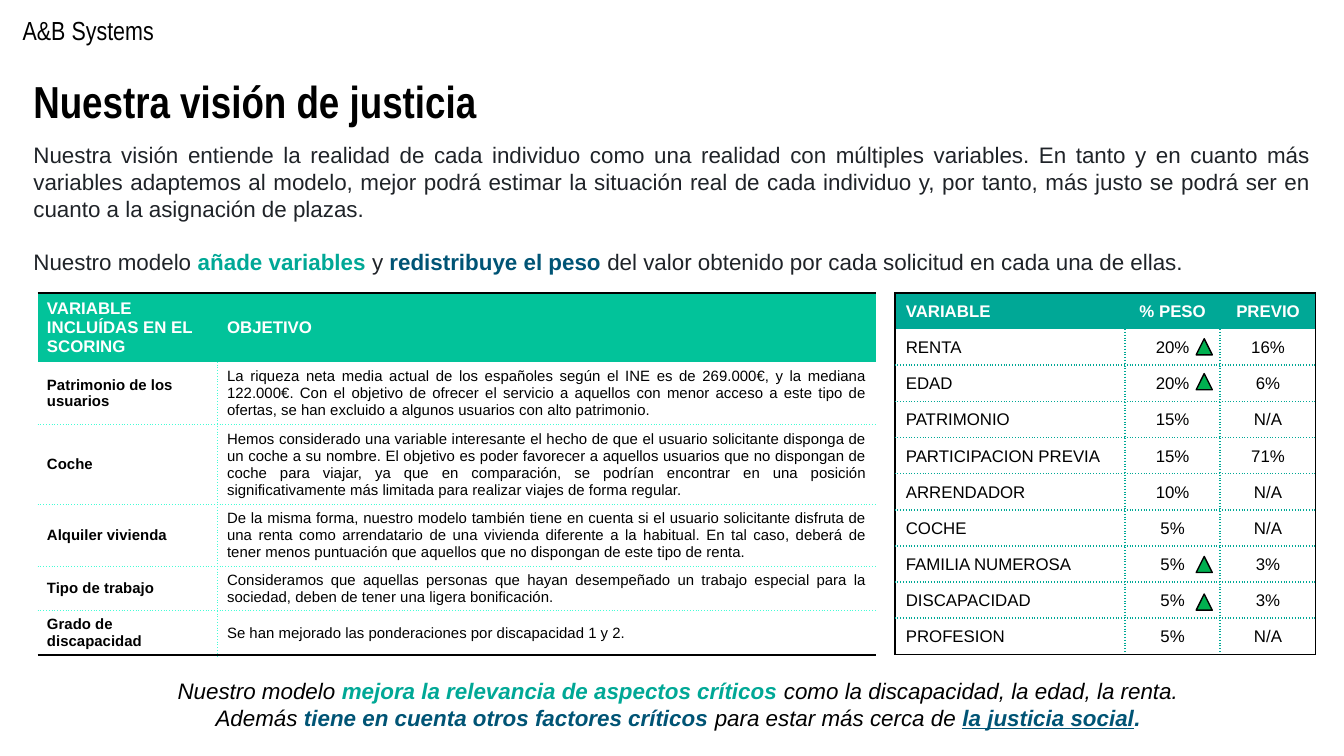
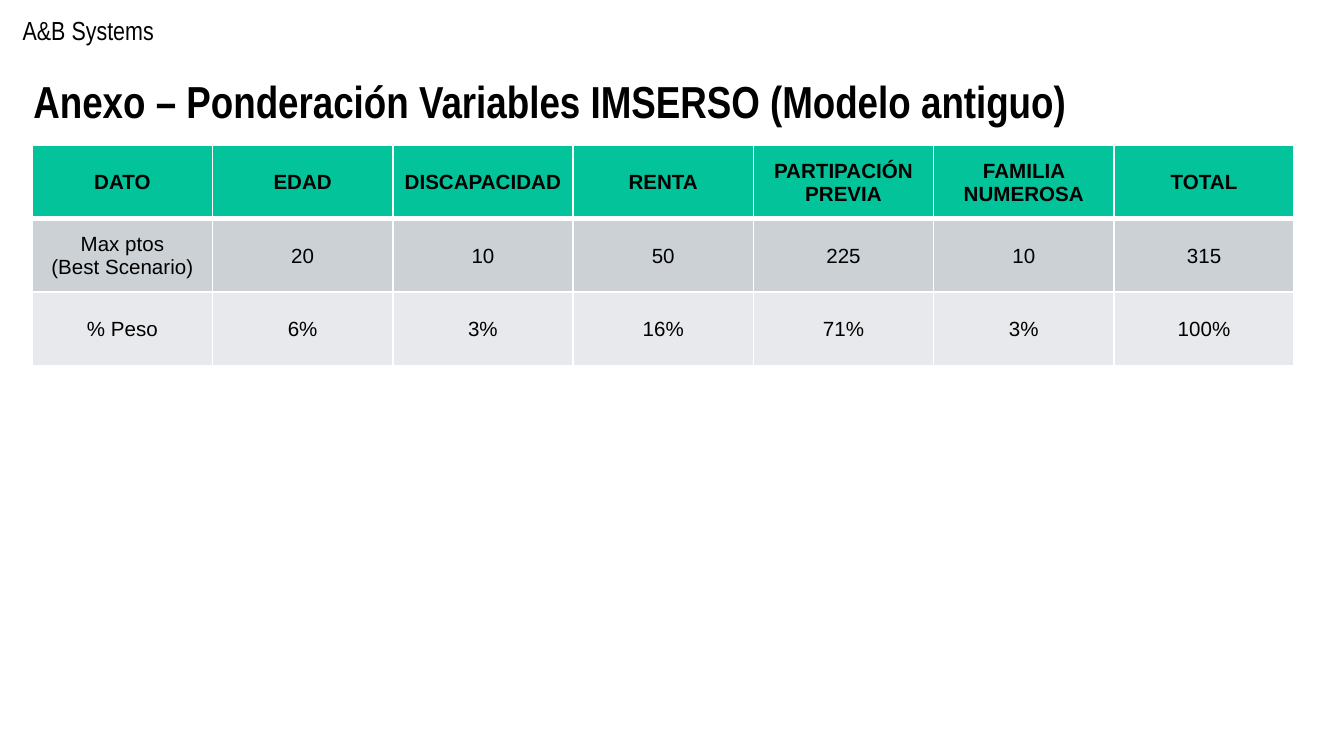
"""Build two slides on the fairness scoring model and its earlier weights."""
from lxml import etree
from pptx import Presentation
from pptx.dml.color import RGBColor
from pptx.enum.shapes import MSO_SHAPE
from pptx.enum.text import MSO_ANCHOR, PP_ALIGN
from pptx.oxml.ns import qn
from pptx.util import Inches, Pt

LEFT, CENTER, JUSTIFY = PP_ALIGN.LEFT, PP_ALIGN.CENTER, PP_ALIGN.JUSTIFY
TOP, MIDDLE = MSO_ANCHOR.TOP, MSO_ANCHOR.MIDDLE
TRIANGLE = MSO_SHAPE.ISOSCELES_TRIANGLE

COLORS = {
    "black": "000000", "white": "FFFFFF", "ink": "1F2328", "mint": "02C39A",
    "teal": "00A896", "navy": "005475", "aqua": "45FDD6", "green": "00B050",
    "gray": "CCD1D6", "light": "E7E9EC",
}
BODY, NARROW = "Arial", "Arial Narrow"
TEAL_BOLD = {"color": "teal", "bold": True}
NAVY_BOLD = {"color": "navy", "bold": True}


def rgb(name):
    """Return the named colour."""
    return RGBColor.from_string(COLORS[name])


class Deck:
    """Hold the shared style and the current slide."""

    def __init__(self):
        """Start an empty 16:9 deck."""
        self.prs = Presentation()
        self.prs.slide_width = Inches(10)
        self.prs.slide_height = Inches(10 * 9 / 16)
        self.s = None

    def slide(self, title, title_width):
        """Add a slide with the shared header and title."""
        self.s = self.prs.slides.add_slide(self.prs.slide_layouts[6])
        self.text((0.07, 0.05, 1.92, 0.34), [["A&B Systems"]],
                  {"name": NARROW, "size": 14}, anchor=MIDDLE)
        self.text((0.15, 0.45, title_width, 0.63), [[title]],
                  {"name": NARROW, "size": 24, "bold": True}, inset=0.1)

    def fill_text(self, tf, paragraphs, base, align, gap=0):
        """Write paragraphs of plain strings or (text, format) runs."""
        for i, runs in enumerate(paragraphs):
            p = tf.add_paragraph() if i else tf.paragraphs[0]
            p.alignment = align
            if i and gap:
                p.space_before = Pt(gap)
            for run in runs:
                text, extra = (run, {}) if isinstance(run, str) else run
                fmt = {"name": BODY, "color": "black", **base, **extra}
                r = p.add_run()
                r.text = text
                r.font.color.rgb = rgb(fmt.pop("color"))
                fmt["size"] = Pt(fmt["size"])
                for key, value in fmt.items():
                    setattr(r.font, key, value)

    def text(self, box, paragraphs, base, align=LEFT, anchor=TOP, inset=0.05, gap=0):
        """Add a wrapping text box."""
        tf = self.s.shapes.add_textbox(*map(Inches, box)).text_frame
        tf.word_wrap, tf.vertical_anchor = True, anchor
        tf.margin_top = tf.margin_bottom = Inches(inset)
        self.fill_text(tf, paragraphs, base, align, gap)

    def triangle(self, left, top, size):
        """Add a green marker for a raised weight."""
        sp = self.s.shapes.add_shape(TRIANGLE, *map(Inches, (left, top, size, size)))
        sp.shadow.inherit = False
        sp.fill.solid()
        sp.fill.fore_color.rgb = rgb("green")
        sp.line.color.rgb = rgb("black")
        sp.line.width = Pt(0.75)

    def borders(self, cell, edges):
        """Set left, right, top and bottom lines; None hides a line."""
        tc_pr = cell._tc.get_or_add_tcPr()
        for i, (side, edge) in enumerate(zip("LRTB", edges)):
            ln = etree.Element(qn(f"a:ln{side}"))
            tc_pr.insert(i, ln)
            if edge is None:
                etree.SubElement(ln, qn("a:noFill"))
                continue
            color, width, dash = edge
            ln.set("w", str(Pt(width)))
            solid = etree.SubElement(ln, qn("a:solidFill"))
            etree.SubElement(solid, qn("a:srgbClr"), val=COLORS[color])
            etree.SubElement(ln, qn("a:prstDash"), val=dash)

    def table(self, at, widths, heights, rows, style):
        """Add a table whose rules and fills follow the style."""
        size = (sum(widths), sum(heights))
        table = self.s.shapes.add_table(len(rows), len(widths),
                                        *map(Inches, (*at, *size))).table
        table.first_row = table.horz_banding = False
        for column, width in zip(table.columns, widths):
            column.width = Inches(width)
        for row, height in zip(table.rows, heights):
            row.height = Inches(height)
        horizontal = [style["outer"], style["under_head"],
                      *[style["inner"]] * (len(rows) - 2), style["outer"]]
        for i, row in enumerate(rows):
            middle = style["inner"] if i else style["head_inner"]
            vertical = [style["sides"], *[middle] * (len(widths) - 1), style["sides"]]
            for j, value in enumerate(row):
                cell = table.cell(i, j)
                cell.vertical_anchor = MIDDLE
                sides = ("left", "right", "top", "bottom")
                for side, margin in zip(sides, style["margins"]):
                    setattr(cell, f"margin_{side}", Inches(margin))
                fill = style["fills"][min(i, len(style["fills"]) - 1)]
                if fill:
                    cell.fill.solid()
                    cell.fill.fore_color.rgb = rgb(fill)
                else:
                    cell.fill.background()
                base = style["body"][j] if i else style["head"]
                align = style["aligns"][j] if i else style["head_aligns"][j]
                self.fill_text(cell.text_frame, [[t] for t in value.split("\n")],
                               base, align)
                self.borders(cell, (*vertical[j:j + 2], *horizontal[i:i + 2]))


OBJECTIVES = [
    ("VARIABLE INCLUÍDAS EN EL SCORING", "OBJETIVO"),
    ("Patrimonio de los usuarios",
     "La riqueza neta media actual de los españoles según el INE es de 269.000€, y la "
     "mediana 122.000€. Con el objetivo de ofrecer el servicio a aquellos con menor acceso "
     "a este tipo de ofertas, se han excluido a algunos usuarios con alto patrimonio. "),
    ("Coche",
     "Hemos considerado una variable interesante el hecho de que el usuario solicitante "
     "disponga de un coche a su nombre. El objetivo es poder favorecer a aquellos usuarios "
     "que no dispongan de coche para viajar, ya que en comparación, se podrían encontrar en "
     "una posición significativamente más limitada para realizar viajes de forma regular."),
    ("Alquiler vivienda",
     "De la misma forma, nuestro modelo también tiene en cuenta si el usuario solicitante "
     "disfruta de una renta como arrendatario de una vivienda diferente a la habitual. En "
     "tal caso, deberá de tener menos puntuación que aquellos que no dispongan de este tipo "
     "de renta."),
    ("Tipo de trabajo",
     "Consideramos que aquellas personas que hayan desempeñado un trabajo especial para la "
     "sociedad, deben de tener una ligera bonificación."),
    ("Grado de discapacidad",
     "Se han mejorado las ponderaciones por discapacidad 1 y 2."),
]
OBJECTIVE_STYLE = {
    "outer": ("black", 1, "solid"), "sides": None, "inner": ("aqua", 0.75, "sysDot"),
    "head_inner": None, "under_head": None, "margins": (0.07, 0.07, 0.03, 0.03),
    "fills": ("mint", None), "head": {"size": 9, "color": "white", "bold": True},
    "body": ({"size": 8, "bold": True}, {"size": 8}),
    "aligns": (LEFT, JUSTIFY), "head_aligns": (LEFT, LEFT),
}
WEIGHTS = [
    ("VARIABLE", "% PESO", "PREVIO"),
    ("RENTA", "20%", "16%"),
    ("EDAD", "20%", "6%"),
    ("PATRIMONIO", "15%", "N/A"),
    ("PARTICIPACION PREVIA", "15%", "71%"),
    ("ARRENDADOR", "10%", "N/A"),
    ("COCHE", "5%", "N/A"),
    ("FAMILIA NUMEROSA", "5%", "3%"),
    ("DISCAPACIDAD", "5%", "3%"),
    ("PROFESION", "5%", "N/A"),
]
WEIGHT_STYLE = {
    **OBJECTIVE_STYLE,
    "outer": ("black", 0.75, "solid"), "sides": ("black", 0.75, "solid"),
    "inner": ("teal", 1, "sysDot"), "margins": (0.08, 0.08, 0.01, 0),
    "fills": ("teal", None), "body": ({"size": 9},) * 3,
    "aligns": (LEFT, CENTER, CENTER), "head_aligns": (LEFT, CENTER, CENTER),
}
OLD_MODEL = [
    ("DATO", "EDAD", "DISCAPACIDAD", "RENTA", "PARTIPACIÓN PREVIA",
     "FAMILIA NUMEROSA", "TOTAL"),
    ("Max ptos\n(Best Scenario)", "20", "10", "50", "225", "10", "315"),
    ("% Peso", "6%", "3%", "16%", "71%", "3%", "100%"),
]
WHITE_LINE = ("white", 1, "solid")
OLD_MODEL_STYLE = {
    "outer": WHITE_LINE, "sides": WHITE_LINE, "inner": WHITE_LINE,
    "head_inner": WHITE_LINE, "under_head": ("white", 3, "solid"),
    "margins": (0.01, 0.01, 0.01, 0), "fills": ("mint", "gray", "light"),
    "head": {"size": 11, "bold": True}, "body": ({"size": 11},) * 7,
    "aligns": (CENTER,) * 7, "head_aligns": (CENTER,) * 7,
}


def main():
    """Build and save the deck."""
    deck = Deck()
    deck.slide("Nuestra visión de justicia", 4.26)
    deck.text((0.15, 1, 9.71, 1.11), [
        ["Nuestra visión entiende la realidad de cada individuo como una realidad con "
         "múltiples variables. En tanto y en cuanto más variables adaptemos al modelo, mejor "
         "podrá estimar la situación real de cada individuo y, por tanto, más justo se podrá "
         "ser en cuanto a la asignación de plazas. "],
        ["Nuestro modelo ", ("añade variables ", TEAL_BOLD), "y ",
         ("redistribuye el peso", NAVY_BOLD),
         " del valor obtenido por cada solicitud en cada una de ellas."],
    ], {"size": 12, "color": "ink"}, align=JUSTIFY, gap=14)
    deck.table((0.28, 2.18), (1.34, 4.9), (0.51, 0.47, 0.59, 0.46, 0.33, 0.33),
               OBJECTIVES, OBJECTIVE_STYLE)
    deck.table((6.66, 2.18), (1.71, 0.71, 0.71), (2.69 / 10,) * 10,
               WEIGHTS, WEIGHT_STYLE)
    deck.text((1.14, 4.99, 7.81, 0.5), [
        ["Nuestro modelo ", ("mejora la relevancia de aspectos críticos", TEAL_BOLD),
         " como la discapacidad, la edad, la renta. Además ",
         ("tiene en cuenta otros factores críticos ", NAVY_BOLD),
         "para estar más cerca de ",
         ("la justicia social", {**NAVY_BOLD, "underline": True}), (".", NAVY_BOLD)],
    ], {"size": 12, "italic": True}, align=CENTER)
    for top in (2.52, 2.78, 4.14, 4.42):
        deck.triangle(8.9, top, 0.12)

    deck.slide("Anexo – Ponderación Variables IMSERSO (Modelo antiguo)", 8.09)
    deck.table((0.24, 1.08), (9.39 / 7,) * 7, (1.64 / 3,) * 3,
               OLD_MODEL, OLD_MODEL_STYLE)
    deck.prs.save("out.pptx")


if __name__ == "__main__":
    main()
